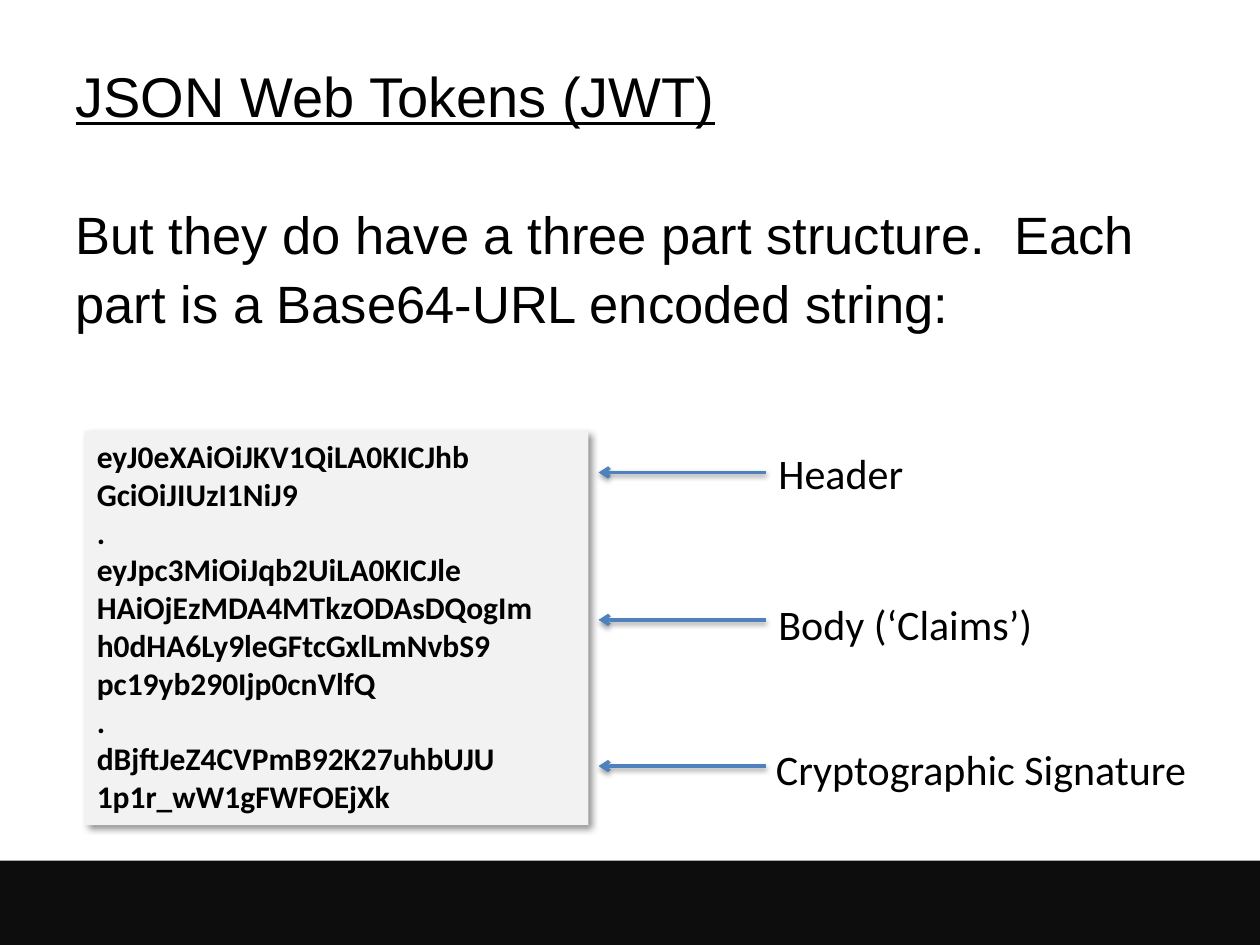
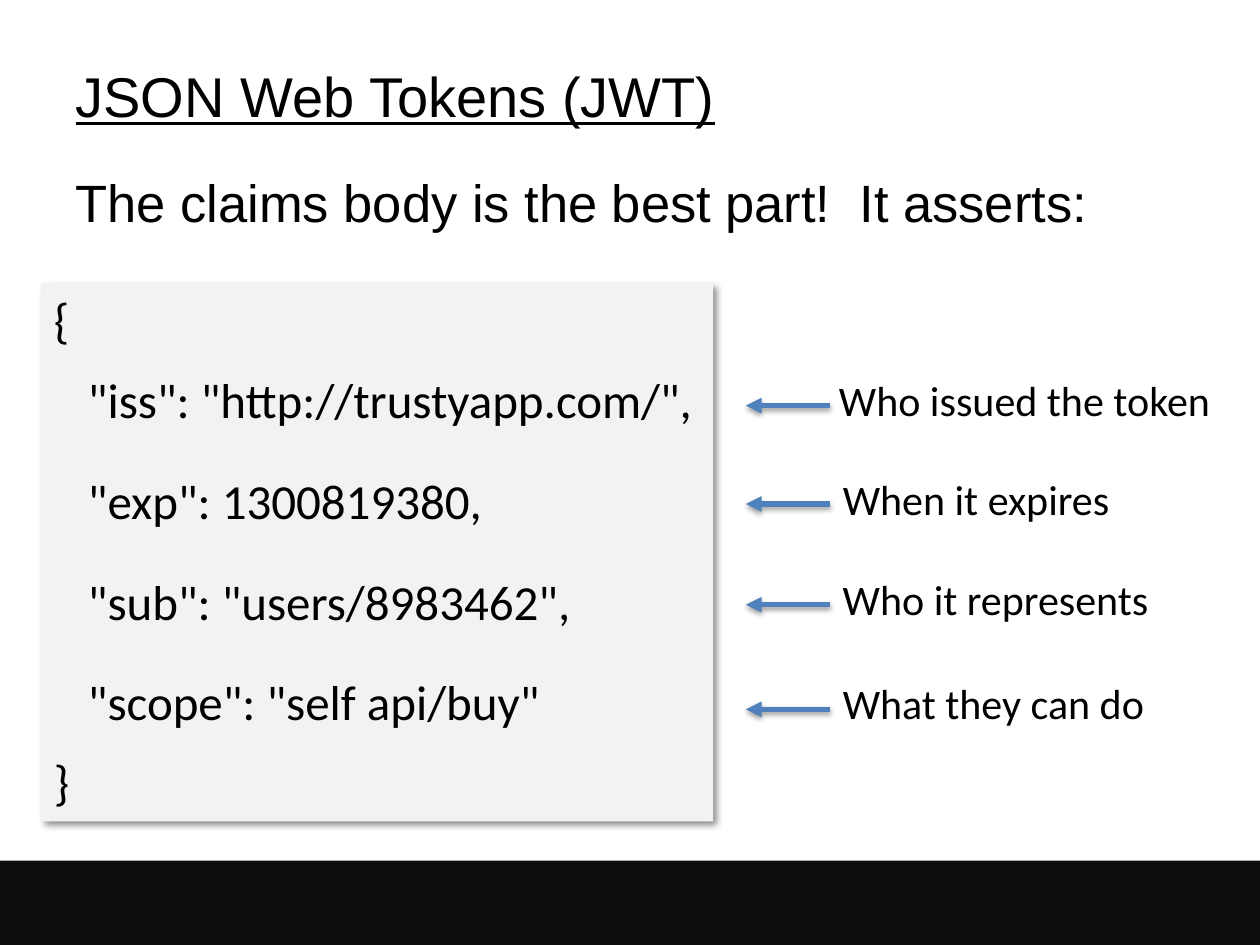
from pptx import Presentation
from pptx.dml.color import RGBColor
from pptx.enum.shapes import MSO_CONNECTOR, MSO_SHAPE
from pptx.enum.text import MSO_ANCHOR, MSO_AUTO_SIZE, PP_ALIGN
from pptx.oxml.ns import qn
from pptx.util import Inches, Pt
from lxml.etree import SubElement

BLACK, BAND, PANEL, ARROW = "000000", "0D0D0D", "F2F2F2", "4F81BD"
HEAD_FONT, CODE_FONT = "Arial", "Calibri"
TITLE = "JSON Web Tokens (JWT)"

TOKEN_LINES = [
    "eyJ0eXAiOiJKV1QiLA0KICJhb",
    "GciOiJIUzI1NiJ9",
    ".",
    "eyJpc3MiOiJqb2UiLA0KICJle",
    "HAiOjEzMDA4MTkzODAsDQogIm",
    "h0dHA6Ly9leGFtcGxlLmNvbS9",
    "pc19yb290Ijp0cnVlfQ",
    ".",
    "dBjftJeZ4CVPmB92K27uhbUJU",
    "1p1r_wW1gFWFOEjXk",
]
CLAIM_LINES = [
    "{",
    '"iss": "http://trustyapp.com/",',
    '"exp": 1300819380,',
    '"sub": "users/8983462",',
    '"scope": "self api/buy"',
    "}",
]
# label, left, top, width, arrow height on the slide
TOKEN_PARTS = [
    ("Header", 6.08, 3.5, 1.2, 3.75),
    ("Body (‘Claims’)", 6.08, 4.7, 2.24, 4.92),
    ("Cryptographic Signature", 6.06, 5.85, 3.51, 6.08),
]
CLAIM_MEANINGS = [
    ("Who issued the token", 6.56, 2.92, 3.19, 3.22),
    ("When it expires", 6.59, 3.71, 2.35, 4),
    ("Who it represents", 6.59, 4.5, 2.66, 4.8),
    ("What they can do", 6.59, 5.33, 2.62, 5.63),
]


def rgb(value):
    return RGBColor.from_string(value)


def style(p, size, font=CODE_FONT, bold=False, underline=False):
    p.alignment = PP_ALIGN.LEFT
    for r in p.runs:
        r.font.size, r.font.name = Pt(size), font
        r.font.bold, r.font.underline = bold, underline
        r.font.color.rgb = rgb(BLACK)


def set_indent(p, left):
    """Set the left margin with no hanging indent."""
    pPr = p._p.get_or_add_pPr()
    pPr.set("marL", str(Inches(left)))
    pPr.set("indent", "0")


def add_shadow(sp, opacity, blur, distance, angle):
    effects = SubElement(sp._element.spPr, qn("a:effectLst"))
    shadow = SubElement(effects, qn("a:outerShdw"), blurRad=str(Pt(blur)),
                        dist=str(Pt(distance)), dir=str(angle * 60000),
                        rotWithShape="0")
    color = SubElement(shadow, qn("a:srgbClr"), val=BLACK)
    SubElement(color, qn("a:alpha"), val=str(opacity * 1000))


def add_box(slide, left, top, width, height, fill):
    sp = slide.shapes.add_shape(MSO_SHAPE.RECTANGLE, Inches(left), Inches(top),
                                Inches(width), Inches(height))
    sp.fill.solid()
    sp.fill.fore_color.rgb = rgb(fill)
    sp.line.fill.background()
    return sp


def place(sp, left, top, width, height):
    sp.left, sp.top = Inches(left), Inches(top)
    sp.width, sp.height = Inches(width), Inches(height)


def add_slide(prs, intro, intro_top, intro_height):
    """Add a slide with the shared band and title, and an intro sentence."""
    slide = prs.slides.add_slide(prs.slide_layouts[1])
    band = add_box(slide, 0, 6.83, 10.01, 0.68, BAND)
    band.shadow.inherit = False

    title, body = slide.placeholders
    place(title, 0.5, 0.42, 9, 0.67)
    place(body, 0.5, intro_top, 9, intro_height)
    for sp, text in ((title, TITLE), (body, intro)):
        sp.text_frame.text = text
        sp.text_frame.auto_size = MSO_AUTO_SIZE.NONE
    title.text_frame.vertical_anchor = MSO_ANCHOR.MIDDLE
    style(title.text_frame.paragraphs[0], 32, HEAD_FONT, underline=True)

    p = body.text_frame.paragraphs[0]
    style(p, 30, HEAD_FONT)
    p.line_spacing, p.space_before = 1.1, Pt(6)
    set_indent(p, 0)
    SubElement(p._p.get_or_add_pPr(), qn("a:buNone"))
    return slide


def add_code_panel(slide, lines, left, top, width, height, size, bold=False):
    sp = add_box(slide, left, top, width, height, PANEL)
    add_shadow(sp, 43, 4, 3, 45)
    tf = sp.text_frame
    tf.word_wrap = True
    tf.vertical_anchor = MSO_ANCHOR.TOP
    tf.text = "\n".join(lines)
    for p in tf.paragraphs:
        style(p, size, bold=bold)
    return tf


def add_label(slide, text, left, top, width):
    tf = slide.shapes.add_textbox(Inches(left), Inches(top), Inches(width),
                                  Inches(0.5)).text_frame
    tf.word_wrap = False
    tf.auto_size = MSO_AUTO_SIZE.SHAPE_TO_FIT_TEXT
    tf.text = text
    style(tf.paragraphs[0], 24)


def add_arrow(slide, start, end, y, width, head):
    line = slide.shapes.add_connector(MSO_CONNECTOR.STRAIGHT, Inches(start),
                                      Inches(y), Inches(end), Inches(y))
    line.line.width = Pt(width)
    line.line.color.rgb = rgb(ARROW)
    SubElement(line.line._get_or_add_ln(), qn("a:tailEnd"), type=head)
    add_shadow(line, 38, 3.1, 1.6, 90)


def add_callouts(slide, callouts, start, end, width, head):
    for text, left, top, label_width, y in callouts:
        add_label(slide, text, left, top, label_width)
        add_arrow(slide, start, end, y, width, head)


def add_structure_slide(prs):
    slide = add_slide(prs, "But they do have a three part structure.  Each part "
                      "is a Base64-URL encoded string:", 1.5, 1.25)
    add_code_panel(slide, TOKEN_LINES, 0.67, 3.42, 4, 3.13, 18, bold=True)
    add_callouts(slide, TOKEN_PARTS, 6.08, 4.75, 2, "arrow")


def add_claims_slide(prs):
    slide = add_slide(prs, "The claims body is the best part!  It asserts:",
                      1.25, 0.67)
    tf = add_code_panel(slide, CLAIM_LINES, 0.33, 2.25, 5.33, 4.27, 28)
    for p in tf.paragraphs[1:-1]:
        set_indent(p, 0.27)
        p.space_before = p.space_after = Pt(12)
    add_callouts(slide, CLAIM_MEANINGS, 6.59, 5.92, 3, "triangle")


def main():
    prs = Presentation()
    prs.slide_width, prs.slide_height = Inches(10), Inches(7.5)
    add_structure_slide(prs)
    add_claims_slide(prs)
    prs.save("out.pptx")


if __name__ == "__main__":
    main()
